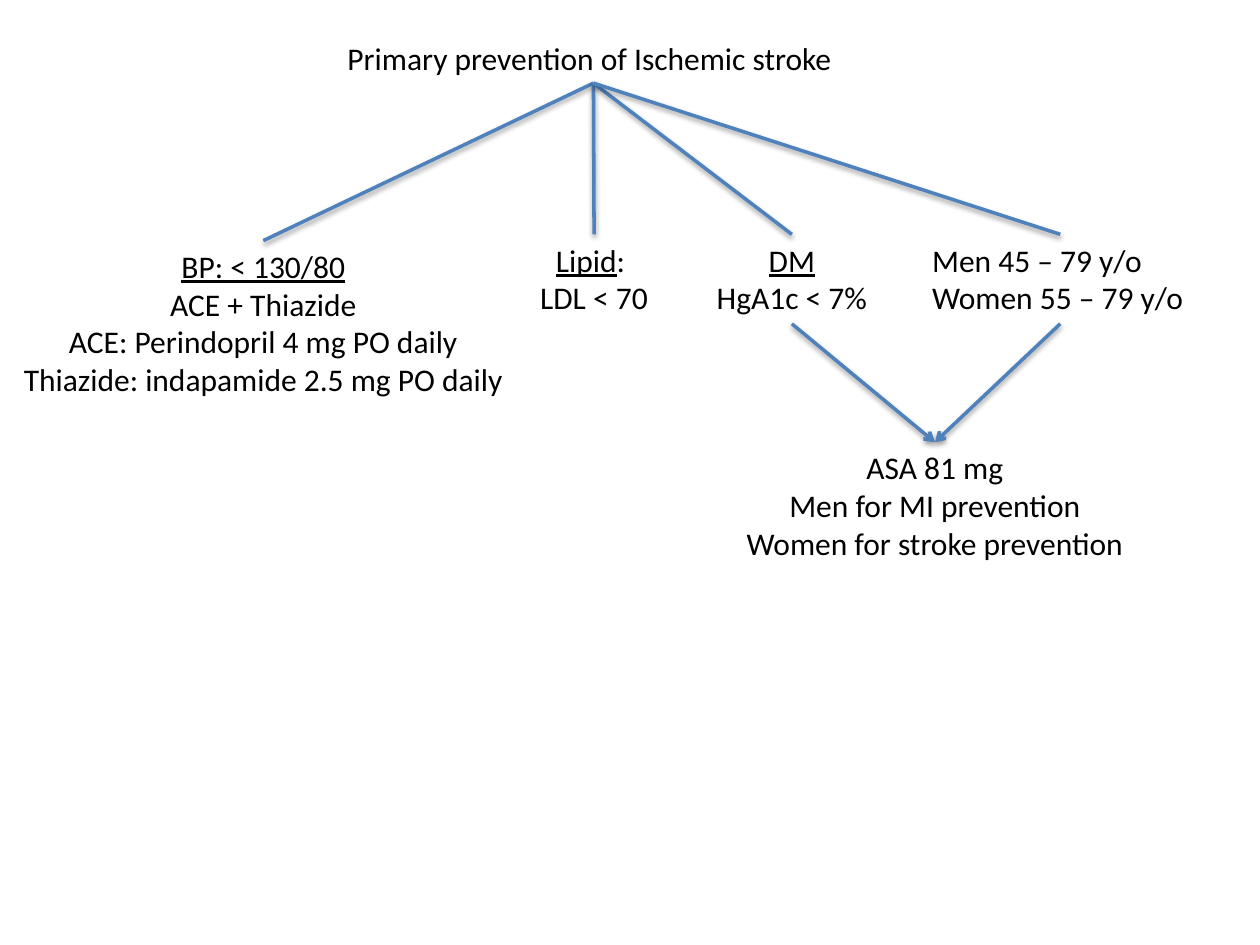
"""Build a decision tree slide on the primary prevention of ischemic stroke."""
from dataclasses import dataclass

from lxml.etree import SubElement
from pptx import Presentation
from pptx.dml.color import RGBColor
from pptx.enum.shapes import MSO_CONNECTOR
from pptx.enum.text import MSO_AUTO_SIZE, PP_ALIGN
from pptx.oxml.ns import qn
from pptx.shapes.autoshape import Shape
from pptx.slide import Slide
from pptx.util import Inches, Pt

BLACK = RGBColor(0x00, 0x00, 0x00)
BLUE = RGBColor(0x4F, 0x81, 0xBD)
COLUMNS, ROWS = 100, 75
CELL = Inches(0.1)
BRANCH_ROW = 18.6
ROW_SPANS = {1: 4, 2: 7.1, 3: 10.1, 4: 13.1}


@dataclass(frozen=True)
class Topic:
    """A block of lines placed on the grid, with an optional underlined heading."""
    column: float
    row: float
    column_span: float
    lines: tuple[str, ...]
    heading: str = ""
    heading_end: str = ""
    alignment: PP_ALIGN = PP_ALIGN.CENTER


GOAL = Topic(26.6, 2.6, 41, ("Primary prevention of Ischemic stroke",),
             alignment=PP_ALIGN.LEFT)
BLOOD_PRESSURE = Topic(
    0, 19.1, 41.8,
    ("ACE + Thiazide", "ACE: Perindopril 4 mg PO daily",
     "Thiazide: indapamide 2.5 mg PO daily"),
    heading="BP: < 130/80")
LIPID = Topic(41.8, BRANCH_ROW, 10.7, ("LDL < 70",), "Lipid", ": ")
DIABETES = Topic(55.8, BRANCH_ROW, 14.1, ("HgA1c < 7%",), "DM")
AGE = Topic(73, BRANCH_ROW, 22.3, ("Men 45 – 79 y/o", "Women 55 – 79 y/o"),
            alignment=PP_ALIGN.LEFT)
ASPIRIN = Topic(57.9, 35.1, 32.6, ("ASA 81 mg", "Men for MI prevention",
                                   "Women for stroke prevention"))
TOPICS = (GOAL, BLOOD_PRESSURE, LIPID, DIABETES, AGE, ASPIRIN)


def grid(cells: float) -> int:
    """Convert a number of grid cells to a length."""
    return round(cells * CELL)


def draw_topic(slide: Slide, topic: Topic) -> Shape:
    """Draw one topic as a text box that fits its lines."""
    lines = (topic.heading, *topic.lines) if topic.heading else topic.lines
    block = slide.shapes.add_textbox(
        grid(topic.column), grid(topic.row),
        grid(topic.column_span), grid(ROW_SPANS[len(lines)]))
    frame = block.text_frame
    frame.text = "\n".join(lines)
    frame.word_wrap = False
    frame.auto_size = MSO_AUTO_SIZE.SHAPE_TO_FIT_TEXT
    if topic.heading:
        frame.paragraphs[0].runs[0].font.underline = True
    if topic.heading_end:
        frame.paragraphs[0].add_run().text = topic.heading_end
    for paragraph in frame.paragraphs:
        paragraph.alignment = topic.alignment
        for run in paragraph.runs:
            run.font.name = "Calibri"
            run.font.size = Pt(18)
            run.font.color.rgb = BLACK
    return block


def draw_link(slide: Slide, upper: Shape, lower: Shape, arrow: bool = False) -> None:
    """Join the bottom of the upper block to the top of the lower one."""
    link = slide.shapes.add_connector(MSO_CONNECTOR.STRAIGHT, 0, 0, 0, 0)
    link.begin_connect(upper, 2)
    link.end_connect(lower, 0)
    link.line.color.rgb = BLUE
    link.line.width = Pt(2)
    if arrow:
        SubElement(link.line._get_or_add_ln(), qn("a:tailEnd"), type="arrow")


def main() -> None:
    """Build and save the slide."""
    deck = Presentation()
    deck.slide_width, deck.slide_height = grid(COLUMNS), grid(ROWS)
    slide = deck.slides.add_slide(deck.slide_layouts[6])
    blocks = {topic: draw_topic(slide, topic) for topic in TOPICS}
    for cause in (DIABETES, AGE):
        draw_link(slide, blocks[cause], blocks[ASPIRIN], arrow=True)
    for branch in (BLOOD_PRESSURE, LIPID, DIABETES, AGE):
        draw_link(slide, blocks[GOAL], blocks[branch])
    deck.save("out.pptx")


if __name__ == "__main__":
    main()
